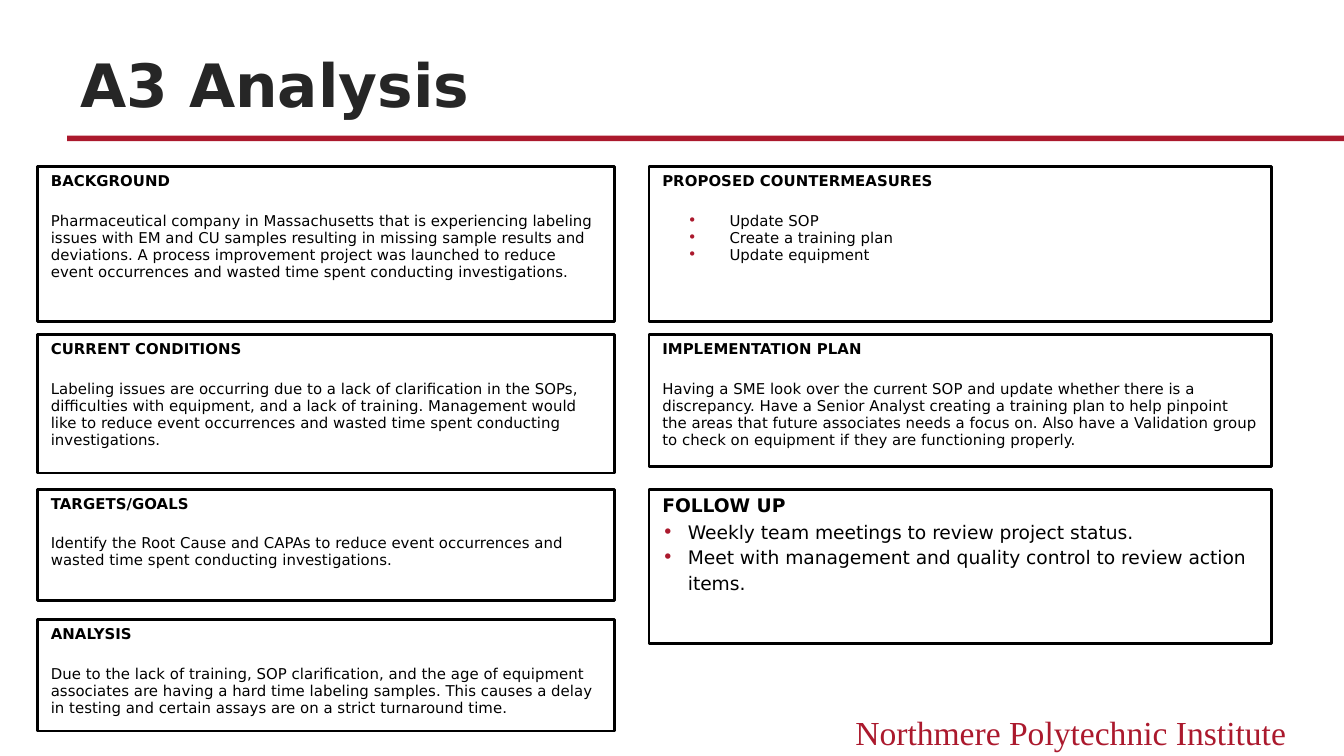
from dataclasses import dataclass

from lxml.etree import SubElement
from pptx import Presentation
from pptx.dml.color import RGBColor
from pptx.enum.shapes import MSO_SHAPE
from pptx.enum.text import MSO_ANCHOR, MSO_AUTO_SIZE, PP_ALIGN
from pptx.oxml.ns import qn
from pptx.util import Inches, Pt


@dataclass(frozen=True)
class Theme:
    accent: str = "AB192D"
    heading: str = "262626"
    ink: str = "000000"
    sans: str = "DejaVu Sans"
    serif: str = "Times New Roman"
    title_size: int = 32
    footer_size: int = 18
    body_size: int = 8
    large_size: int = 10
    border: float = 1.5


THEME = Theme()

# Content: each panel has a column, a row, a height and its text
TITLE = "A3 Analysis"
FOOTER = "Northmere Polytechnic Institute"
PANELS = [
    dict(column=0, row=0, height=1.15, heading="BACKGROUND",
         text="Pharmaceutical company in Massachusetts that is experiencing labeling issues "
              "with EM and CU samples resulting in missing sample results and deviations. "
              "A process improvement project was launched to reduce event occurrences and "
              "wasted time spent conducting investigations."),
    dict(column=0, row=1, height=1.03, heading="CURRENT CONDITIONS",
         text="Labeling issues are occurring due to a lack of clarification in the SOPs, "
              "difficulties with equipment, and a lack of training. Management would like to "
              "reduce event occurrences and wasted time spent conducting investigations."),
    dict(column=0, row=2, height=0.83, heading="TARGETS/GOALS",
         text="Identify the Root Cause and CAPAs to reduce event occurrences and wasted time "
              "spent conducting investigations."),
    dict(column=0, row=3, height=0.83, heading="ANALYSIS",
         text="Due to the lack of training, SOP clarification, and the age of equipment "
              "associates are having a hard time labeling samples. This causes a delay in "
              "testing and certain assays are on a strict turnaround time."),
    dict(column=1, row=2, height=1.15, heading="FOLLOW UP",
         bullets=["Weekly team meetings to review project status.",
                  "Meet with management and quality control to review action items."],
         margin=0.19, hanging=0.19, first_gap=0, spacing=1.15, size=THEME.large_size),
    dict(column=1, row=1, height=0.98, heading="IMPLEMENTATION PLAN",
         text="Having a SME look over the current SOP and update whether there is a "
              "discrepancy. Have a Senior Analyst creating a training plan to help pinpoint "
              "the areas that future associates needs a focus on. Also have a Validation "
              "group to check on equipment if they are functioning properly."),
    dict(column=1, row=0, height=1.15, heading="PROPOSED COUNTERMEASURES",
         bullets=["Update SOP", "Create a training plan", "Update equipment"],
         margin=0.5, hanging=0.31, first_gap=12),
]

# Grid in inches: (left, width) of columns, tops of rows
COLUMNS = [(0.28, 4.29), (4.83, 4.63)]
ROWS = [1.24, 2.49, 3.64, 4.61]
SLIDE_WIDTH = 10
SLIDE_HEIGHT = SLIDE_WIDTH * 9 / 16
MARGIN = 0.5


def place(left, top, width, height):
    return [Inches(value) for value in (left, top, width, height)]


def write(para, text, color=THEME.ink, **font_values):
    span = para.add_run()
    span.text = text
    for name, value in font_values.items():
        setattr(span.font, name, value)
    span.font.color.rgb = RGBColor.from_string(color)


def format_para(para, **values):
    for name, value in values.items():
        setattr(para, name, value)


def add_bullet(para, margin, hanging):
    properties = para._p.get_or_add_pPr()
    properties.set("marL", str(Inches(margin)))
    properties.set("indent", str(-Inches(hanging)))
    color = SubElement(properties, qn("a:buClr"))
    SubElement(color, qn("a:srgbClr"), val=THEME.accent)
    SubElement(properties, qn("a:buFont"), typeface=THEME.sans)
    SubElement(properties, qn("a:buChar"), char="•")


def add_panel(page, panel):
    left, width = COLUMNS[panel["column"]]
    box = page.shapes.add_shape(
        MSO_SHAPE.RECTANGLE, *place(left, ROWS[panel["row"]], width, panel["height"]))
    box.shadow.inherit = False
    box.fill.background()
    box.line.color.rgb = RGBColor.from_string(THEME.ink)
    box.line.width = Pt(THEME.border)
    frame = box.text_frame
    frame.word_wrap = True
    frame.vertical_anchor = MSO_ANCHOR.TOP

    font = dict(name=THEME.sans, size=Pt(panel.get("size", THEME.body_size)))
    heading = frame.paragraphs[0]
    format_para(heading, alignment=PP_ALIGN.LEFT, space_before=Pt(12), line_spacing=0.95)
    write(heading, panel["heading"], bold=True, **font)

    bullets = panel.get("bullets")
    for index, text in enumerate(bullets or [panel["text"]]):
        para = frame.add_paragraph()
        gap = panel.get("first_gap", 12) if index == 0 else 0
        format_para(para, alignment=PP_ALIGN.LEFT, space_before=Pt(gap),
                    line_spacing=panel.get("spacing", 0.95))
        if bullets:
            add_bullet(para, panel["margin"], panel["hanging"])
        write(para, text, bold=False, **font)


deck = Presentation()
deck.slide_width, deck.slide_height = Inches(SLIDE_WIDTH), Inches(SLIDE_HEIGHT)
page = deck.slides.add_slide(deck.slide_layouts[5])

# Title and the rule below it
title = page.shapes.title
title.left, title.top, title.width, title.height = place(
    MARGIN, 0.28, SLIDE_WIDTH - 2 * MARGIN, 0.66)
title.text_frame.auto_size = MSO_AUTO_SIZE.NONE
title.text_frame.vertical_anchor = MSO_ANCHOR.BOTTOM
title_para = title.text_frame.paragraphs[0]
title_para.alignment = PP_ALIGN.LEFT
write(title_para, TITLE, THEME.heading, name=THEME.sans, size=Pt(THEME.title_size), bold=True)

rule = page.shapes.add_shape(
    MSO_SHAPE.RECTANGLE, *place(MARGIN, 1.01, SLIDE_WIDTH - MARGIN, 0.04))
rule.shadow.inherit = False
rule.fill.solid()
rule.fill.fore_color.rgb = RGBColor.from_string(THEME.accent)
rule.line.fill.background()

# Institute name
footer = page.shapes.add_textbox(*place(6, 5.25, 3.67, 0.4))
footer.text_frame.word_wrap = True
footer_para = footer.text_frame.paragraphs[0]
footer_para.alignment = PP_ALIGN.RIGHT
write(footer_para, FOOTER, THEME.accent, name=THEME.serif, size=Pt(THEME.footer_size))

# Panels
for panel in PANELS:
    add_panel(page, panel)

deck.save("out.pptx")
